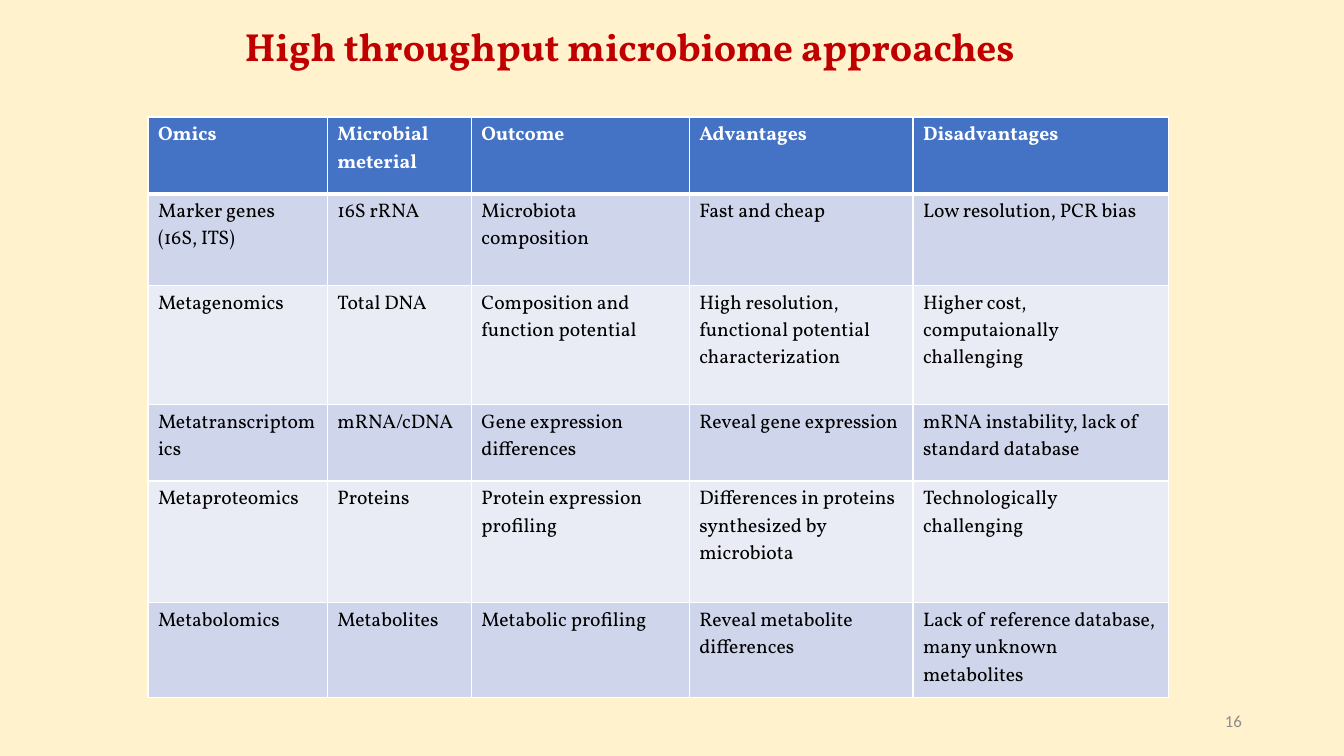
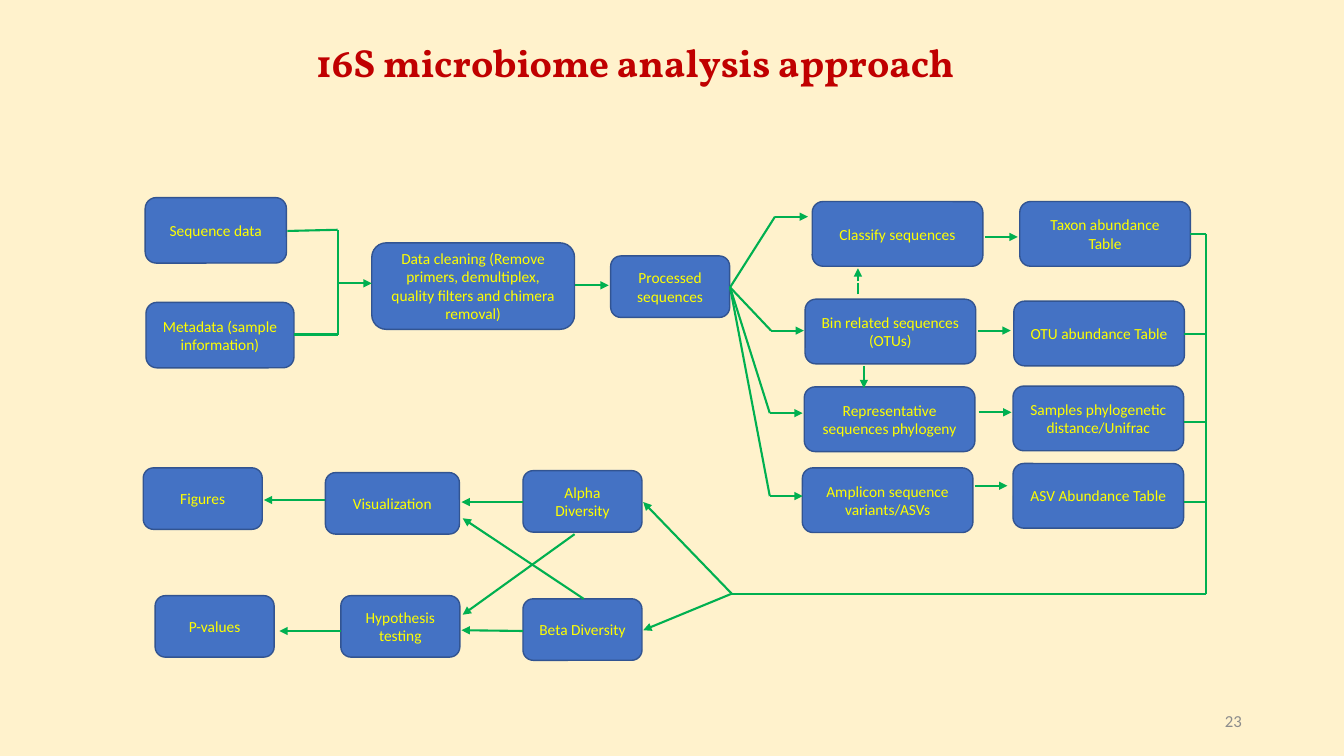
from itertools import pairwise

from lxml.etree import SubElement
from pptx import Presentation
from pptx.dml.color import RGBColor
from pptx.enum.shapes import MSO_CONNECTOR as Connector, MSO_SHAPE as Shape
from pptx.enum.text import MSO_ANCHOR as Anchor, PP_ALIGN as Align
from pptx.oxml.ns import qn
from pptx.util import Cm, Pt

CREAM, WHITE, BLACK, GREY = "FFF2CC", "FFFFFF", "000000", "8C8C8C"
RED, YELLOW, GREEN = "C00000", "FFFF00", "00B050"
BLUE, DARK_BLUE = "4472C4", "325491"
BANDS = ("CFD5EA", "E9EBF5")
SERIF, SANS = "Vollkorn", "Calibri"

COLUMN_WIDTHS = (4.52, 3.63, 5.49, 5.64, 6.43)
ROW_HEIGHTS = (1.93, 2.31, 3, 1.93, 3.07, 2.39)
OMICS = (
    ("Omics", "Microbial meterial", "Outcome", "Advantages", "Disadvantages"),
    ("Marker genes (16S, ITS)", "16S rRNA", "Microbiota composition",
     "Fast and cheap", "Low resolution, PCR bias"),
    ("Metagenomics", "Total DNA", "Composition and function potential",
     "High resolution, functional potential characterization",
     "Higher cost, computaionally challenging"),
    ("Metatranscriptomics", "mRNA/cDNA", "Gene expression differences",
     "Reveal gene expression",
     "mRNA instability, lack of standard database"),
    ("Metaproteomics", "Proteins", "Protein expression profiling",
     "Differences in proteins synthesized by microbiota",
     "Technologically challenging"),
    ("Metabolomics", "Metabolites", "Metabolic profiling",
     "Reveal metabolite differences",
     "Lack of reference database, many unknown metabolites"),
)

# Sizes are width, height; places are left, top; all in centimetres.
SMALL, WIDE = (3, 1.55), (4.3, 1.63)
STEPS = (
    ("Sequence data", (3.66, 4.98), (3.56, 1.65)),
    ("Metadata (sample information)", (3.68, 7.62), (3.73, 1.65)),
    ("Data cleaning (Remove primers, demultiplex, quality filters and "
     "chimera removal)", (9.37, 6.12), (5.11, 2.18)),
    ("Processed sequences", (15.39, 6.45), SMALL),
    ("Classify sequences", (20.47, 5.08), WIDE),
    ("Bin related sequences (OTUs)", (20.29, 7.54), WIDE),
    ("Representative sequences phylogeny", (20.27, 9.75), WIDE),
    ("Amplicon sequence variants/ASVs", (20.22, 11.79), WIDE),
    ("Taxon abundance Table", (25.7, 5.08), WIDE),
    ("OTU abundance Table", (25.55, 7.59), WIDE),
    ("Samples phylogenetic distance/Unifrac", (25.53, 9.73), WIDE),
    ("ASV Abundance Table", (25.53, 11.68), WIDE),
    ("Alpha Diversity", (13.18, 11.86), SMALL),
    ("Beta Diversity", (13.18, 15.09), SMALL),
    ("Visualization", (8.2, 11.91), (3.38, 1.55)),
    ("Hypothesis testing", (8.59, 15.01), SMALL),
    ("Figures", (3.61, 11.79), SMALL),
    ("P-values", (3.91, 15.01), SMALL),
)

ARROW_LENGTH = 0.83
PROCESSED_EXIT = (18.4, 7.24)
BRANCH_BENDS = ((19.53, 5.46), (19.43, 8.33), (19.4, 10.41), (19.4, 12.5))
TABLE_ARROW_STARTS = ((24.82, 5.97), (24.64, 8.33), (24.66, 10.39), (24.56, 12.24))
COLLECTOR_X = 30.4
COLLECTOR_STUBS = ((29.85, 8.41), (29.83, 10.64), (29.83, 12.65))
DIVERSITY_FORK = (18.44, 14.96)
PLAIN_PATHS = (
    ((7.24, 5.82), (8.51, 5.79), (8.51, 8.43), (7.42, 8.43)),
    ((21.62, 7.42), (21.62, 7.14)),
    ((30, 5.89), (COLLECTOR_X, 5.89), (COLLECTOR_X, 14.96), DIVERSITY_FORK),
)
ARROW_PATHS = (
    ((8.51, 7.14), (9.37, 7.14)),
    ((14.5, 7.19), (15.34, 7.19)),
    ((21.62, 7.09), (21.62, 6.76)),
    ((21.77, 9.22), (21.77, 9.78)),
    (DIVERSITY_FORK, (16.21, 12.65)),
    (DIVERSITY_FORK, (16.21, 15.88)),
    ((13.18, 12.65), (11.63, 12.65)),
    ((13.18, 15.9), (11.63, 15.88)),
    ((14.48, 13.46), (11.66, 15.49)),
    ((14.71, 15.09), (11.66, 13.06)),
    ((8.2, 12.6), (6.65, 12.6)),
    ((8.59, 15.9), (7.04, 15.9)),
)


def rgb(value):
    return RGBColor.from_string(value)


def paint(fill, color):
    fill.solid()
    fill.fore_color.rgb = rgb(color)


def write(frame, text, size, color, font=SANS, bold=False, align=Align.LEFT):
    frame.word_wrap = True
    paragraph = frame.paragraphs[0]
    paragraph.alignment = align
    run = paragraph.add_run()
    run.text = text
    run.font.name = font
    run.font.size = Pt(size)
    run.font.bold = bold
    run.font.color.rgb = rgb(color)
    return paragraph


def add_text_frame(slide, place, size):
    return slide.shapes.add_textbox(*map(Cm, place + size)).text_frame


def add_page(prs, title, title_place, title_size, number):
    slide = prs.slides.add_slide(prs.slide_layouts[6])
    heading = add_text_frame(slide, title_place, title_size)
    write(heading, title, 28, RED, SERIF, bold=True).line_spacing = 0.9
    footer = add_text_frame(slide, (23.93, 17.65), (7.62, 1.02))
    footer.vertical_anchor = Anchor.MIDDLE
    write(footer, str(number), 12, GREY, align=Align.RIGHT)
    return slide


def set_borders(cell, **widths):
    """Draw white cell borders; widths are points by side letter."""
    properties = cell._tc.get_or_add_tcPr()
    for side, width in widths.items():
        border = SubElement(properties, qn(f"a:ln{side}"), w=str(Pt(width)))
        fill = SubElement(border, qn("a:solidFill"))
        SubElement(fill, qn("a:srgbClr"), val=WHITE)


def add_omics_table(slide):
    frame = slide.shapes.add_table(
        len(OMICS), len(COLUMN_WIDTHS), Cm(3.73), Cm(2.95),
        Cm(sum(COLUMN_WIDTHS)), Cm(sum(ROW_HEIGHTS)))
    table = frame.table
    for column, width in zip(table.columns, COLUMN_WIDTHS):
        column.width = Cm(width)
    for r, (row, height, texts) in enumerate(zip(table.rows, ROW_HEIGHTS, OMICS)):
        row.height = Cm(height)
        header = r == 0
        for cell, text in zip(row.cells, texts):
            set_borders(cell, L=1, R=1, T=3 if r == 1 else 1, B=3 if header else 1)
            paint(cell.fill, BLUE if header else BANDS[(r - 1) % 2])
            write(cell.text_frame, text, 14, WHITE if header else BLACK,
                  SERIF, bold=header)


def add_step(slide, text, place, size):
    step = slide.shapes.add_shape(Shape.ROUNDED_RECTANGLE, *map(Cm, place + size))
    step.shadow.inherit = False
    paint(step.fill, BLUE)
    step.line.color.rgb = rgb(DARK_BLUE)
    step.line.width = Pt(1)
    step.text_frame.vertical_anchor = Anchor.MIDDLE
    write(step.text_frame, text, 11, YELLOW, align=Align.CENTER)


def add_path(slide, points, arrow=False):
    """Join the points with straight lines, with an arrowhead at the last."""
    for start, end in pairwise(points):
        segment = slide.shapes.add_connector(
            Connector.STRAIGHT, *map(Cm, start + end))
        segment.line.color.rgb = rgb(GREEN)
        segment.line.width = Pt(1.5)
        properties = segment._element.spPr
        if arrow and end == points[-1]:
            SubElement(properties.find(qn("a:ln")), qn("a:tailEnd"), type="triangle")
        SubElement(properties, qn("a:effectLst"))


def add_workflow(slide):
    for step in STEPS:
        add_step(slide, *step)
    for points in PLAIN_PATHS:
        add_path(slide, points)
    for x, y in COLLECTOR_STUBS:
        add_path(slide, ((x, y), (COLLECTOR_X, y)))
    for points in ARROW_PATHS:
        add_path(slide, points, arrow=True)
    for x, y in BRANCH_BENDS:
        add_path(slide, (PROCESSED_EXIT, (x, y), (x + ARROW_LENGTH, y)), arrow=True)
    for x, y in TABLE_ARROW_STARTS:
        add_path(slide, ((x, y), (x + ARROW_LENGTH, y)), arrow=True)


def main():
    prs = Presentation()
    prs.slide_width, prs.slide_height = Cm(33.87), Cm(19.05)
    paint(prs.slide_master.background.fill, CREAM)
    add_omics_table(add_page(prs, "High throughput microbiome approaches",
                             (5.92, 0.56), (23.5, 0.89), 16))
    add_workflow(add_page(prs, "16S microbiome analysis approach",
                          (7.72, 0.97), (17.09, 1.98), 23))
    prs.save("out.pptx")


if __name__ == "__main__":
    main()
